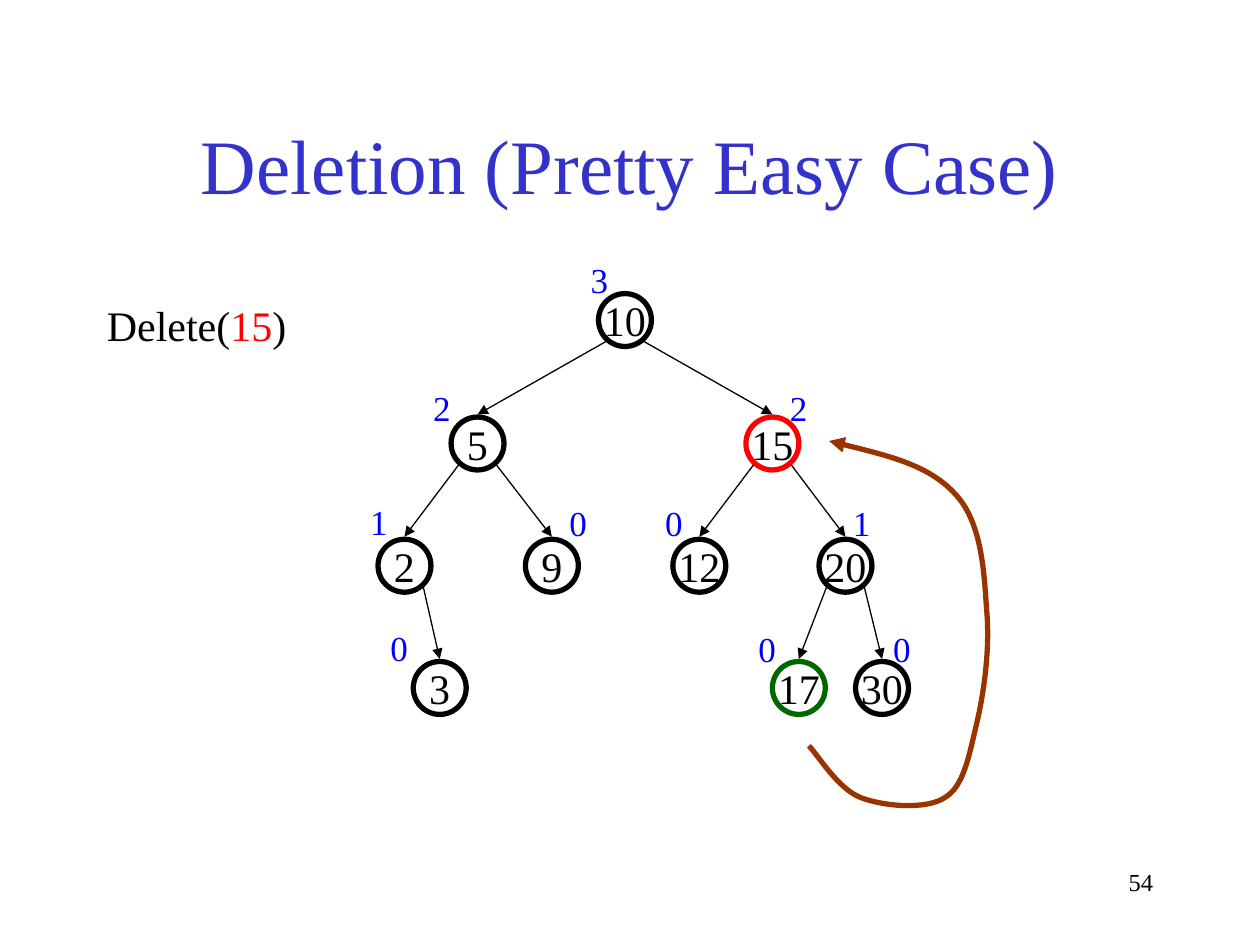
from lxml import etree
from pptx import Presentation
from pptx.dml.color import RGBColor
from pptx.enum.shapes import MSO_CONNECTOR, MSO_SHAPE
from pptx.enum.text import MSO_ANCHOR, MSO_AUTO_SIZE, PP_ALIGN
from pptx.oxml import parse_xml
from pptx.oxml.ns import nsdecls, qn
from pptx.util import Inches, Pt

BLACK, BLUE, RED = "000000", "0000FF", "FF0000"


def color(hex_value):
    return RGBColor.from_string(hex_value)


def write(shape, runs, size, align=PP_ALIGN.LEFT, anchor=MSO_ANCHOR.TOP, wrap=False):
    frame = shape.text_frame
    frame.word_wrap = wrap
    frame.vertical_anchor = anchor
    paragraph = frame.paragraphs[0]
    paragraph.alignment = align
    for text, hex_value in runs:
        run = paragraph.add_run()
        run.text = text
        run.font.name = "Times New Roman"
        run.font.size = Pt(size)
        run.font.color.rgb = color(hex_value)


presentation = Presentation()
presentation.slide_width, presentation.slide_height = Inches(10), Inches(7.5)
slide = presentation.slides.add_slide(presentation.slide_layouts[6])
shapes = slide.shapes

# Page number, title and operation
page_number = shapes.add_textbox(Inches(7.17), Inches(6.83), Inches(2.08), Inches(0.5))
write(page_number, [("54", BLACK)], 14, PP_ALIGN.RIGHT, wrap=True)
title = shapes.add_textbox(Inches(0.75), Inches(0.67), Inches(8.5), Inches(1.25))
write(title, [("Deletion (Pretty Easy Case)", "3333CC")], 44,
      PP_ALIGN.CENTER, MSO_ANCHOR.MIDDLE, True)
operation = shapes.add_textbox(Inches(0.75), Inches(2.33), Inches(1.66), Inches(0.5))
write(operation, [("Delete(", BLACK), ("15", RED), (")", BLACK)], 24)
operation.text_frame.auto_size = MSO_AUTO_SIZE.SHAPE_TO_FIT_TEXT

# Tree nodes: key -> left, level, parent, height, height label position
NODE_SIZE = 0.42
LEVEL_TOPS = [2.33, 3.31, 4.28, 5.25]
tree = {
    10: (4.75, 0, None, 3, 4.59, 2.00),
    5: (3.58, 1, 10, 2, 3.34, 3.02),
    15: (5.92, 1, 10, 2, 6.17, 3.02),
    2: (3.00, 2, 5, 1, 2.84, 3.92),
    9: (4.17, 2, 5, 0, 4.42, 3.93),
    12: (5.34, 2, 15, 0, 5.18, 3.93),
    20: (6.50, 2, 15, 1, 6.67, 3.93),
    3: (3.28, 3, 2, 0, 3.00, 4.92),
    17: (6.13, 3, 20, 0, 5.92, 4.93),
    30: (6.79, 3, 20, 0, 6.99, 4.93),
}
ring_colors = {15: RED, 17: "006600"}

for key, (left, level, parent, height, label_left, label_top) in tree.items():
    top = LEVEL_TOPS[level]
    node = shapes.add_shape(MSO_SHAPE.OVAL, Inches(left), Inches(top),
                            Inches(NODE_SIZE), Inches(NODE_SIZE))
    node.shadow.inherit = False
    node.fill.background()
    node.line.color.rgb = color(ring_colors.get(key, BLACK))
    node.line.width = Pt(3)
    write(node, [(str(key), BLACK)], 24, PP_ALIGN.CENTER, MSO_ANCHOR.MIDDLE)

    height_label = shapes.add_textbox(Inches(label_left), Inches(label_top),
                                      Inches(0.34), Inches(0.44))
    write(height_label, [(str(height), BLUE)], 20)

    # Edge from the parent's lower left or right to the top of this node
    if parent is not None:
        center = left + NODE_SIZE / 2
        parent_center = tree[parent][0] + NODE_SIZE / 2
        start_x = parent_center + (0.15 if center > parent_center else -0.15)
        edge = shapes.add_connector(
            MSO_CONNECTOR.STRAIGHT, Inches(start_x), Inches(LEVEL_TOPS[level - 1] + 0.38),
            Inches(center), Inches(top - 0.02))
        edge.line.color.rgb = color(BLACK)
        edge.line.width = Pt(0.75)
        edge.line._get_or_add_ln().append(
            parse_xml(f'<a:tailEnd {nsdecls("a")} type="triangle"/>'))
        etree.SubElement(edge._element.spPr, qn("a:effectLst"))

# Replacement arrow from 17 up to 15: a start point, then three points per curve
curve_points = [
    (6.58, 3.5),
    (6.98, 3.6), (7.37, 3.69), (7.58, 3.92),
    (7.79, 4.14), (7.81, 4.53), (7.83, 4.83),
    (7.86, 5.14), (7.81, 5.5), (7.75, 5.75),
    (7.69, 6), (7.65, 6.24), (7.5, 6.33),
    (7.35, 6.43), (7.01, 6.4), (6.83, 6.33),
    (6.65, 6.26), (6.49, 5.99), (6.42, 5.92),
]
corners = [(Inches(x), Inches(y)) for x, y in curve_points]
builder = shapes.build_freeform(*corners[0])
builder.add_line_segments(corners[1:], close=False)
replacement = builder.convert_to_shape()
replacement.shadow.inherit = False
replacement.fill.background()
replacement.line.color.rgb = color("993300")
replacement.line.width = Pt(3)
replacement.line._get_or_add_ln().append(
    parse_xml(f'<a:headEnd {nsdecls("a")} type="triangle"/>'))

# Turn each group of three line points into one cubic curve
segments = list(replacement._element.iter(qn("a:lnTo")))
outline = segments[0].getparent()
for first in range(0, len(segments), 3):
    curve = etree.SubElement(outline, qn("a:cubicBezTo"))
    for segment in segments[first:first + 3]:
        curve.append(segment[0])
        outline.remove(segment)

presentation.save("out.pptx")
